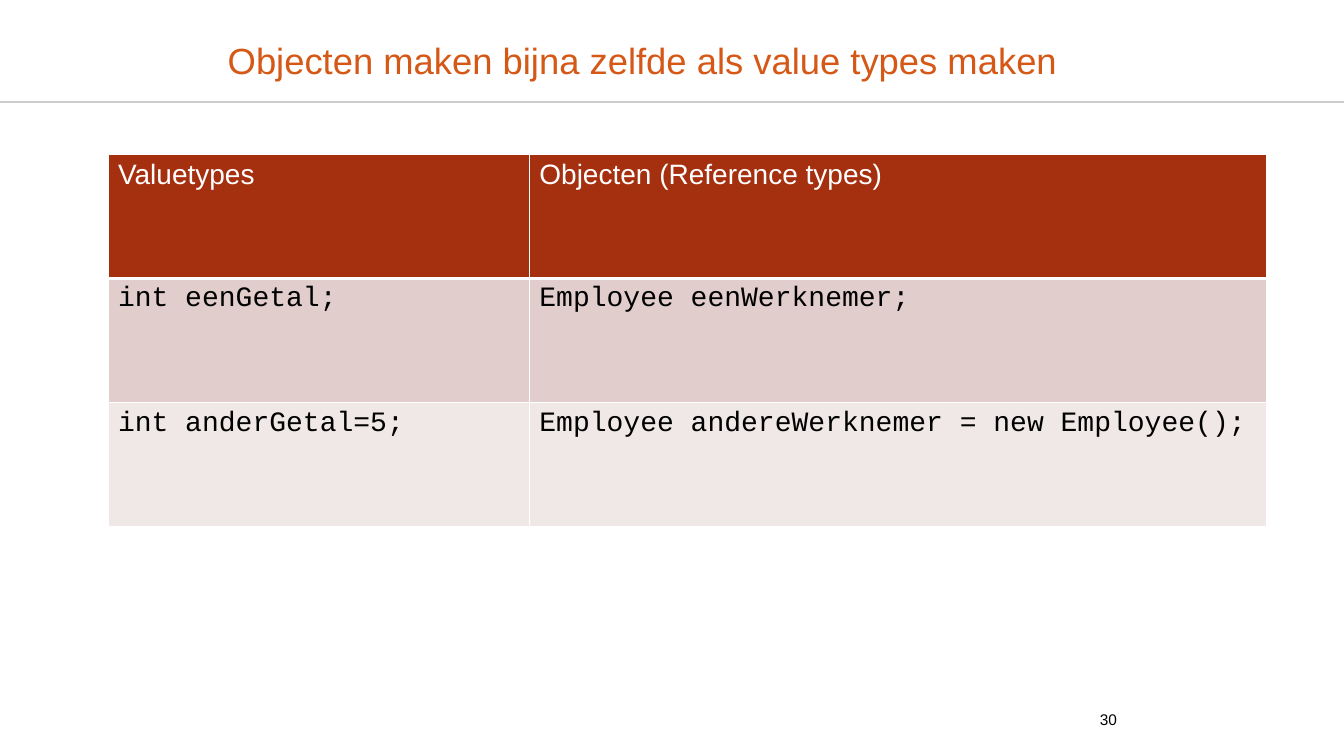
from dataclasses import dataclass

from lxml.etree import SubElement
from pptx import Presentation
from pptx.dml.color import RGBColor
from pptx.enum.shapes import MSO_CONNECTOR
from pptx.enum.text import MSO_ANCHOR, PP_ALIGN
from pptx.oxml.ns import qn
from pptx.util import Cm, Pt


@dataclass(frozen=True)
class Theme:
    title: str = "D55816"
    head: str = "A5300F"
    bands: tuple = ("E1CDCC", "F0E8E7")
    white: str = "FFFFFF"
    black: str = "000000"
    rule: str = "CCCCCC"
    sans: str = "Arial"
    mono: str = "Courier New"
    big: int = 26
    body: int = 20
    small: int = 11


THEME = Theme()
WIDE, HIGH = Cm(33.87), Cm(19.05)
ROWS = [
    ("Valuetypes", "Objecten (Reference types)"),
    ("int eenGetal;", "Employee eenWerknemer;"),
    ("int anderGetal=5;", "Employee andereWerknemer = new Employee();"),
]


def add_run(para, text, size, color, face):
    run = para.add_run()
    run.text = text
    run.font.size = Pt(size)
    run.font.bold = False
    run.font.name = face
    run.font.color.rgb = RGBColor.from_string(color)


def add_text(slide, box, text, size, color, align):
    frame = slide.shapes.add_textbox(*map(Cm, box)).text_frame
    frame.word_wrap = True
    frame.vertical_anchor = MSO_ANCHOR.MIDDLE
    frame.margin_left = frame.margin_right = Cm(0)
    frame.margin_top = frame.margin_bottom = Cm(0)
    para = frame.paragraphs[0]
    para.alignment = align
    add_run(para, text, size, color, THEME.sans)
    return para


def add_rule(slide, top):
    line = slide.shapes.add_connector(MSO_CONNECTOR.STRAIGHT, Cm(0), top, WIDE, top)
    line.line.color.rgb = RGBColor.from_string(THEME.rule)
    line.line.width = Pt(1)
    SubElement(line._element.spPr, qn("a:effectLst"))


def add_edges(cell, base):
    props = cell._tc.get_or_add_tcPr()
    for side, width in (("L", 1), ("R", 1), ("T", 1), ("B", base)):
        edge = SubElement(props, qn(f"a:ln{side}"), w=str(Pt(width)))
        fill = SubElement(edge, qn("a:solidFill"))
        SubElement(fill, qn("a:srgbClr"), val=THEME.white)


def fill_cell(cell, text, row):
    head = row == 0
    add_edges(cell, 3 if head else 1)
    cell.fill.solid()
    fill = THEME.head if head else THEME.bands[(row - 1) % 2]
    cell.fill.fore_color.rgb = RGBColor.from_string(fill)
    color = THEME.white if head else THEME.black
    face = THEME.sans if head else THEME.mono
    add_run(cell.text_frame.paragraphs[0], text, THEME.body, color, face)


def add_grid(slide, left, top, widths, height):
    table = slide.shapes.add_table(
        len(ROWS), len(widths), Cm(left), Cm(top),
        Cm(sum(widths)), Cm(height * len(ROWS)),
    ).table
    for col, width in zip(table.columns, widths):
        col.width = Cm(width)
    for row, texts in enumerate(ROWS):
        table.rows[row].height = Cm(height)
        for col, text in enumerate(texts):
            fill_cell(table.cell(row, col), text, row)


def main():
    deck = Presentation()
    deck.slide_width, deck.slide_height = WIDE, HIGH
    slide = deck.slides.add_slide(deck.slide_layouts[6])
    add_rule(slide, Cm(2.57))
    add_text(slide, (22.43, 17.58, 5.72, 1.07), "30",
             THEME.small, THEME.black, PP_ALIGN.RIGHT)
    title = add_text(slide, (5.74, 0, 22.43, 3.18),
                     "Objecten maken bijna zelfde als value types maken",
                     THEME.big, THEME.title, PP_ALIGN.LEFT)
    title.line_spacing = 0.9
    add_grid(slide, 2.72, 3.89, (10.62, 18.57), 3.13)
    deck.save("out.pptx")


if __name__ == "__main__":
    main()
